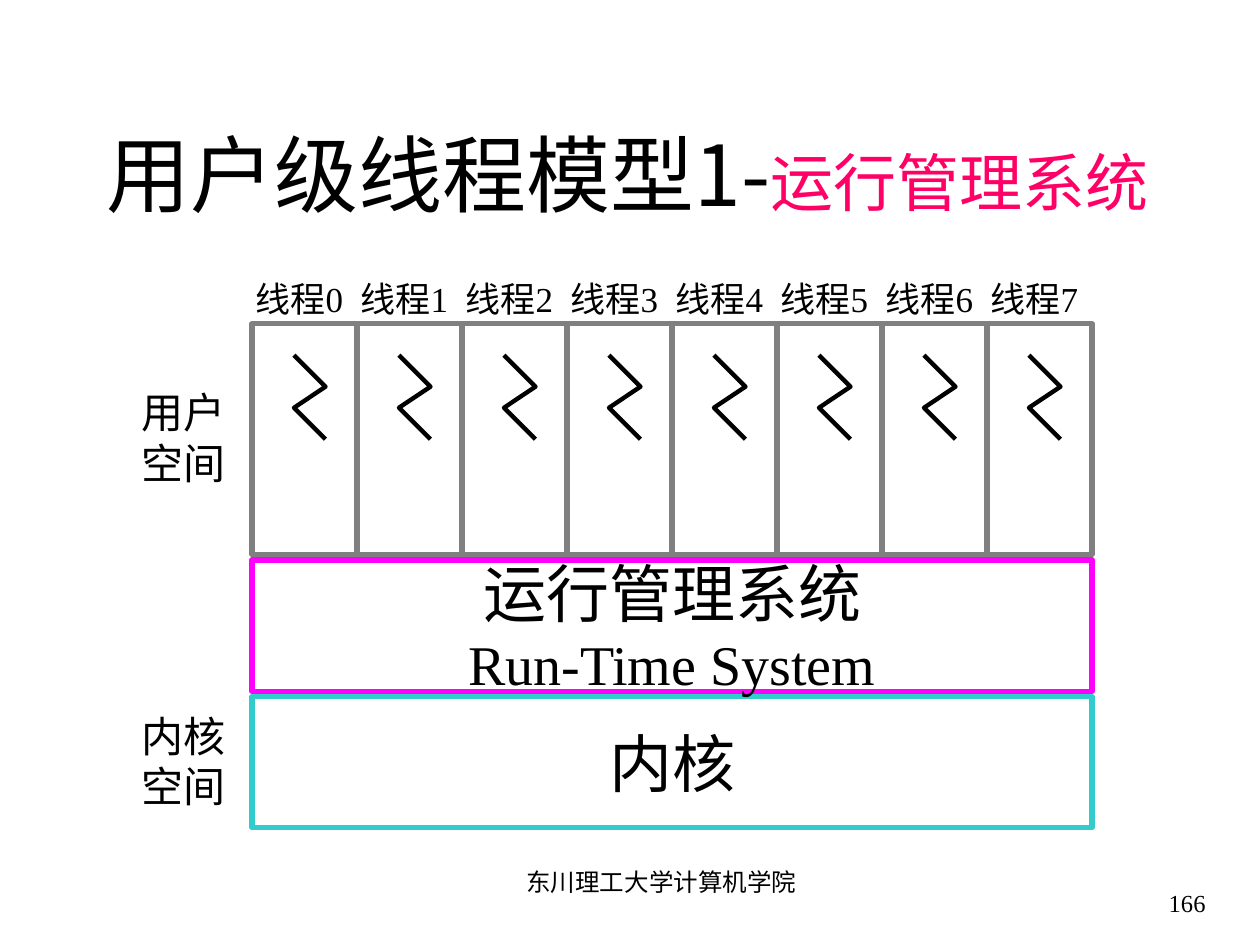
from dataclasses import dataclass

from lxml.etree import SubElement
from pptx import Presentation
from pptx.dml.color import RGBColor
from pptx.enum.shapes import MSO_SHAPE
from pptx.enum.text import MSO_ANCHOR, PP_ALIGN
from pptx.oxml.ns import qn
from pptx.util import Pt


@dataclass(frozen=True)
class Theme:
    text: str = "000000"
    accent: str = "FF0066"
    thread: str = "808080"
    runtime: str = "FF00FF"
    kernel: str = "33CCCC"
    latin_font: str = "Times New Roman"
    chinese_font: str = "Noto Sans CJK SC"
    title_size: int = 48
    box_size: int = 36
    english_size: int = 32
    side_size: int = 24
    label_size: int = 20
    footer_size: int = 14


class SlideBuilder:
    def __init__(self, slide, theme):
        self.slide = slide
        self.theme = theme

    def style_run(self, run, size, color=None, font=None):
        run.font.size = Pt(size)
        run.font.name = font or self.theme.latin_font
        run.font.color.rgb = RGBColor.from_string(color or self.theme.text)
        east_asian = SubElement(run.font._element, qn("a:ea"))
        east_asian.set("typeface", self.theme.chinese_font)

    def fill_text(self, shape, lines, margins, align, anchor, space_before=0):
        """Write (text, size) lines into a shape."""
        frame = shape.text_frame
        frame.word_wrap = True
        frame.vertical_anchor = anchor
        frame.margin_left = frame.margin_right = Pt(margins[0])
        frame.margin_top = frame.margin_bottom = Pt(margins[1])
        frame.text = "\n".join(text for text, _ in lines)
        for paragraph, (_, size) in zip(frame.paragraphs, lines):
            paragraph.alignment = align
            self.style_run(paragraph.runs[0], size)
        frame.paragraphs[0].space_before = Pt(space_before)

    def text(self, bounds, text, size, margins=(7.2, 3.6), align=PP_ALIGN.CENTER,
             anchor=MSO_ANCHOR.TOP, space_before=0):
        shape = self.slide.shapes.add_textbox(*map(Pt, bounds))
        self.fill_text(shape, [(text, size)], margins, align, anchor, space_before)
        return shape

    def label(self, bounds, text, size, space_before):
        self.text(bounds, text, size, (1.5, 0), anchor=MSO_ANCHOR.MIDDLE,
                  space_before=space_before)

    def title(self, bounds, text, highlight):
        theme = self.theme
        shape = self.text(bounds, text, theme.title_size, align=PP_ALIGN.LEFT,
                          anchor=MSO_ANCHOR.BOTTOM)
        paragraph = shape.text_frame.paragraphs[0]
        paragraph.runs[0].font.name = theme.chinese_font
        run = paragraph.add_run()
        run.text = highlight
        self.style_run(run, theme.box_size, theme.accent, theme.chinese_font)

    def outline(self, shape, color, width):
        shape.shadow.inherit = False
        shape.fill.background()
        shape.line.color.rgb = RGBColor.from_string(color)
        shape.line.width = Pt(width)

    def box(self, bounds, color, lines=()):
        shape = self.slide.shapes.add_shape(MSO_SHAPE.RECTANGLE, *map(Pt, bounds))
        self.outline(shape, color, 3)
        if lines:
            self.fill_text(shape, lines, (7.2, 0), PP_ALIGN.CENTER,
                           MSO_ANCHOR.MIDDLE, 22.5)

    def zigzag(self, left, top):
        points = [(left + x, top + y) for x, y in ((0, 0), (18, 18), (0, 30), (18, 48))]
        start, *rest = [(Pt(x), Pt(y)) for x, y in points]
        builder = self.slide.shapes.build_freeform(*start)
        builder.add_line_segments(rest, close=False)
        self.outline(builder.convert_to_shape(), self.theme.text, 2.5)


def main():
    presentation = Presentation()
    presentation.slide_width, presentation.slide_height = Pt(720), Pt(540)
    slide = presentation.slides.add_slide(presentation.slide_layouts[6])
    theme = Theme()
    builder = SlideBuilder(slide, theme)

    # Title, footer and page number
    builder.title((54, 77, 618, 54), "用户级线程模型1-", "运行管理系统")
    builder.text((264, 492, 228, 36), "东川理工大学计算机学院", theme.footer_size,
                 space_before=8.8)
    builder.text((624, 492, 72, 36), "166", theme.footer_size,
                 align=PP_ALIGN.RIGHT, anchor=MSO_ANCHOR.BOTTOM)

    # Kernel and run-time system
    left, thread_width, thread_count = 144, 60, 8
    width = thread_width * thread_count
    builder.box((left, 398, width, 75), theme.kernel, [("内核", theme.box_size)])
    builder.box((left, 320, width, 75), theme.runtime,
                [("运行管理系统", theme.box_size),
                 ("Run-Time System", theme.english_size)])

    # Threads
    for number in range(thread_count):
        x = left + number * thread_width
        builder.box((x, 185, thread_width, 132), theme.thread)
        builder.zigzag(x + 24, 203)
        builder.label((x - 6, 158.5, 66, 24), f"线程{number}", theme.label_size, 12.5)

    # Names of the two spaces
    for top, text in ((221, "用户空间"), (406, "内核空间")):
        builder.label((78, top, 54, 57.6), text, theme.side_size, 15)

    presentation.save("out.pptx")


if __name__ == "__main__":
    main()
